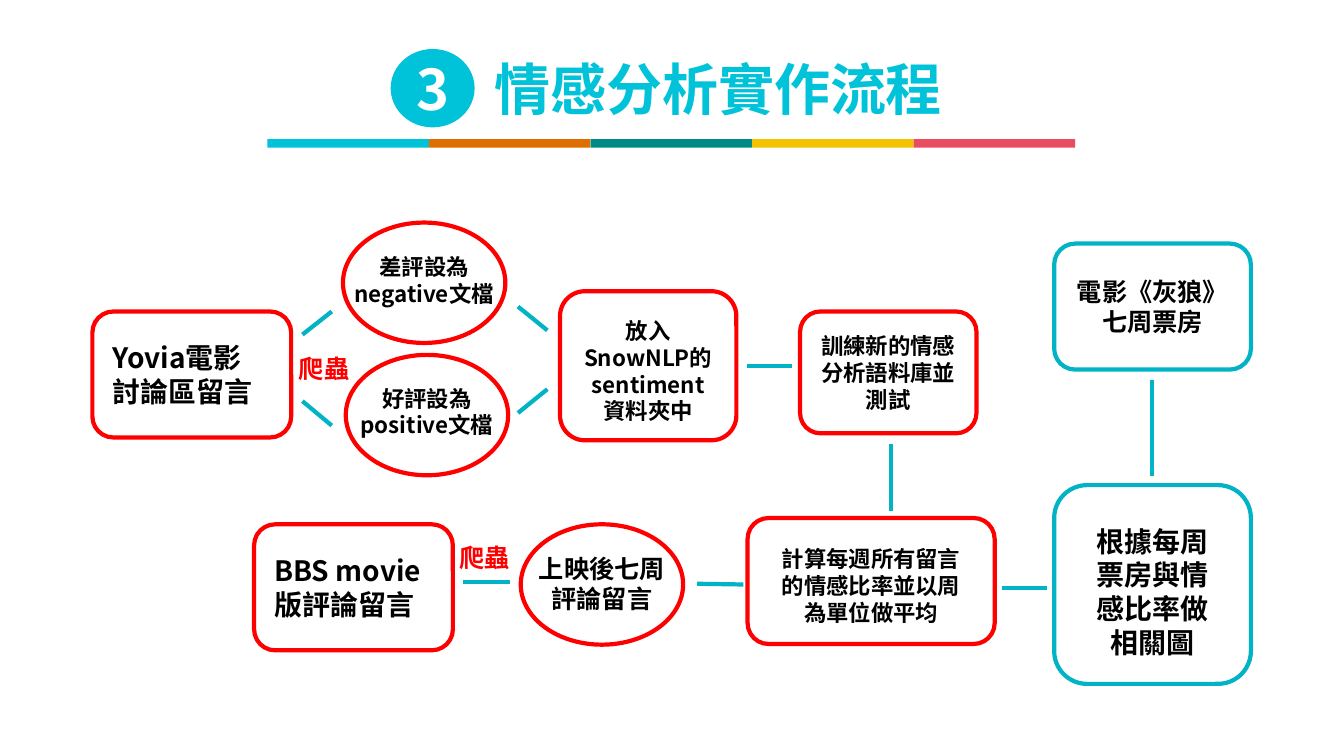
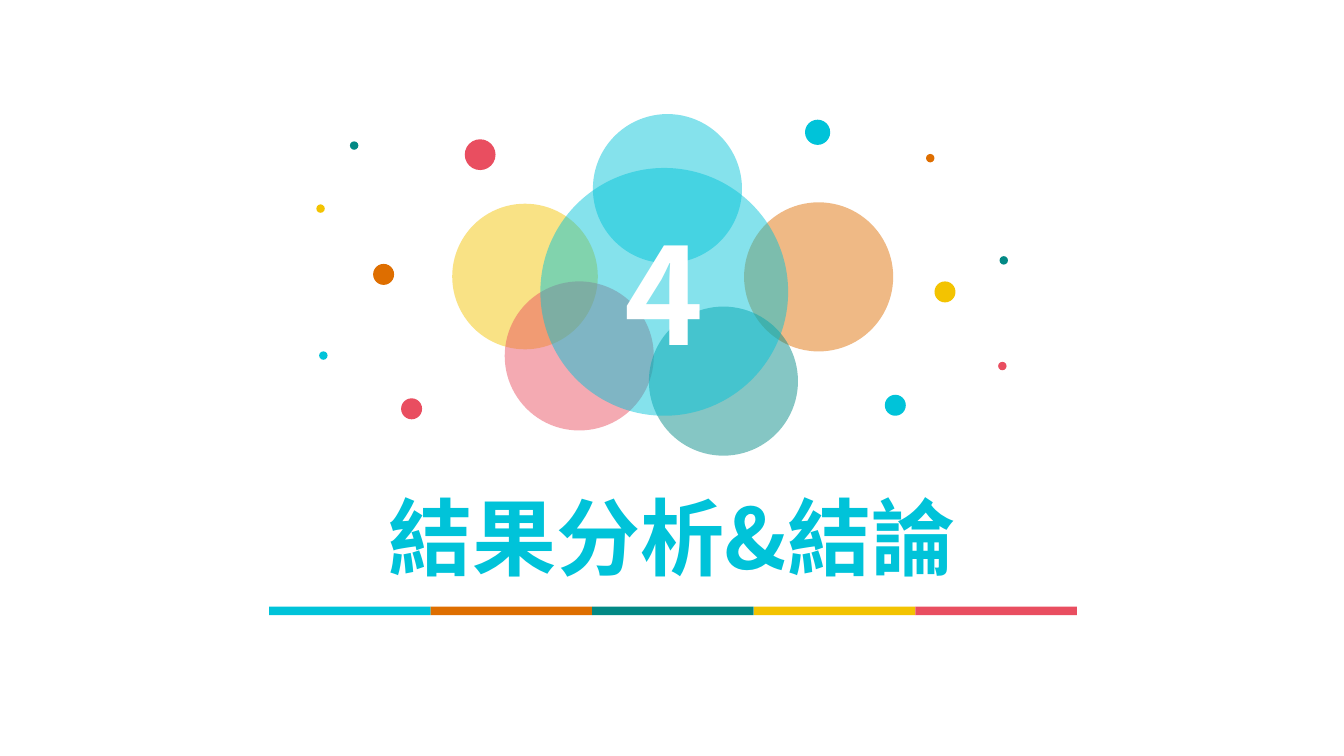
from pptx import Presentation
from pptx.dml.color import RGBColor
from pptx.enum.shapes import MSO_CONNECTOR, MSO_SHAPE
from pptx.enum.text import MSO_ANCHOR, MSO_AUTO_SIZE, PP_ALIGN
from pptx.oxml.ns import qn
from pptx.util import Pt
from lxml.etree import SubElement

FONT = "Noto Sans CJK SC"
COLOURS = {
    "cyan": "00C3D9", "orange": "DE6E00", "teal": "028985", "yellow": "F3C301",
    "rose": "E94E60", "red": "FF0000", "aqua": "01B3C5", "black": "000000",
    "white": "FFFFFF",
}
BAND_COLOURS = ("cyan", "orange", "teal", "yellow", "rose")
BAND_STEP, BAND_HEIGHT = 115.4, 6
LINE_WIDTH = 3
OVAL, ROUNDED = MSO_SHAPE.OVAL, MSO_SHAPE.ROUNDED_RECTANGLE
LEFT, CENTER = PP_ALIGN.LEFT, PP_ALIGN.CENTER

# preset, left, top, width, height, outline, text, size, alignment, text shift
STEPS = (
    (ROUNDED, 753, 346.5, 140.5, 142, "aqua", "根據每周\v票房與情\v感比率做\v相關圖", 20, CENTER, 5),
    (ROUNDED, 181.5, 374.5, 142, 90, "red", "BBS movie\v版評論留言", 20, LEFT, 0),
    (OVAL, 245, 159, 116, 86, "red", "差評設為\vnegative文檔", 16, CENTER, -2),
    (OVAL, 372, 374.5, 116, 86, "red", "上映後七周\v評論留言", 18, CENTER, -1),
    (ROUNDED, 66, 222.5, 142, 90, "red", "Yovia電影\v討論區留言", 20, LEFT, 0),
    (ROUNDED, 534, 370, 176.5, 90, "red", "計算每週所有留言\v的情感比率並以周\v為單位做平均", 16, CENTER, 3),
    (ROUNDED, 753, 174, 140.5, 90, "aqua", "電影《灰狼》\v七周票房", 18, CENTER, 0),
    (ROUNDED, 400, 208, 126, 106.5, "red", "放入\vSnowNLP的\vsentiment\n資料夾中", 16, CENTER, 3.5),
    (OVAL, 247, 253.5, 116, 86, "red", "好評設為\vpositive文檔", 16, CENTER, -2.5),
    (ROUNDED, 571.5, 222.5, 126, 87, "red", "訓練新的情感\v分析語料庫並\v測試", 16, CENTER, 0),
)
LINKS = (
    (216, 239, 237, 222.5), (216, 286.5, 237, 304), (331, 416, 364, 416),
    (498, 417, 531, 417.5), (823, 271.5, 823, 340), (533.5, 261.5, 566, 261.5),
    (370, 219, 391, 236), (370, 295, 391, 278), (636.5, 317, 636.5, 365),
    (715.5, 420, 748, 420),
)
CRAWLS = ((206.5, 248.5, 69, 29), (321, 384, 54, 29))
DOTS = (
    (226, 146, 6, "yellow"), (266.5, 188.5, 15, "orange"), (250, 101, 6, "teal"),
    (286.5, 284.5, 15, "rose"), (228, 251, 6, "cyan"), (667.5, 201, 15, "yellow"),
    (661.5, 110, 6, "orange"), (714, 183, 6, "teal"), (632, 282, 15, "cyan"),
    (713, 258.5, 6, "rose"), (575, 85.5, 18, "cyan"), (332, 99.5, 22, "rose"),
)
BUBBLES = (
    (323, 145.5, 104, "yellow"), (360.5, 201, 106.5, "rose"),
    (423.5, 81.5, 106.5, "cyan"), (531.5, 144.5, 106.5, "orange"),
    (463.5, 219, 106.5, "teal"),
)
BUBBLE_ALPHA = 48


def colour(name):
    """Return the named colour."""
    return RGBColor.from_string(COLOURS[name])


def write(frame, text, size, ink, align=CENTER, anchor=MSO_ANCHOR.MIDDLE, wrap=True):
    """Fill a text frame with bold text in the deck font."""
    frame.text = text
    frame.word_wrap = wrap
    frame.auto_size = MSO_AUTO_SIZE.NONE
    frame.vertical_anchor = anchor
    for para in frame.paragraphs:
        para.alignment = align
        para.font.size = Pt(size)
        para.font.bold = True
        para.font.color.rgb = colour(ink)
        para.font.name = FONT
        defaults = para._p.pPr.find(qn("a:defRPr"))
        SubElement(defaults, qn("a:ea")).set("typeface", FONT)


def set_margins(frame, left=0, top=0, right=0, bottom=0):
    """Set the four insets of a text frame."""
    frame.margin_left, frame.margin_top = Pt(left), Pt(top)
    frame.margin_right, frame.margin_bottom = Pt(right), Pt(bottom)


def add_block(shapes, preset, box, fill=None, line=None, alpha=None):
    """Add a flat preset shape with an optional fill, outline and opacity."""
    shape = shapes.add_shape(preset, *map(Pt, box))
    shape.shadow.inherit = False
    if fill:
        shape.fill.solid()
        shape.fill.fore_color.rgb = colour(fill)
    else:
        shape.fill.background()
    if line:
        shape.line.color.rgb = colour(line)
        shape.line.width = Pt(LINE_WIDTH)
    else:
        shape.line.fill.background()
    if alpha:
        tint = shape._element.spPr.find(qn("a:solidFill")).find(qn("a:srgbClr"))
        SubElement(tint, qn("a:alpha")).set("val", str(alpha * 1000))
    return shape


def add_step(page, preset, left, top, width, height, line, text, size, align, shift):
    """Add an outlined step of the flow with its text."""
    shape = add_block(page.shapes, preset, (left, top, width, height), line=line)
    write(shape.text_frame, text, size, "black", align, wrap=preset != OVAL)
    indent = 10 if align == LEFT else 0
    set_margins(shape.text_frame, indent, max(2 * shift, 0), 0, max(-2 * shift, 0))


def add_link(page, ends):
    """Add a straight line between two steps."""
    link = page.shapes.add_connector(MSO_CONNECTOR.STRAIGHT, *map(Pt, ends))
    link.line.color.rgb = colour("aqua")
    link.line.width = Pt(LINE_WIDTH)
    SubElement(link._element.spPr, qn("a:effectLst"))


def add_label(page, box, text):
    """Add a red label beside a line."""
    label = page.shapes.add_textbox(*map(Pt, box))
    write(label.text_frame, text, 18, "red", LEFT, MSO_ANCHOR.TOP)


def add_circle(page, left, top, size, fill, alpha=None):
    """Add a filled circle."""
    return add_block(page.shapes, OVAL, (left, top, size, size), fill, alpha=alpha)


def add_number(shape, text, size):
    """Write a white number in the middle of a shape."""
    write(shape.text_frame, text, size, "white", wrap=False)
    set_margins(shape.text_frame)


def add_band(page, left, top):
    """Add the grouped five-colour band."""
    band = page.shapes.add_group_shape()
    for index, fill in enumerate(BAND_COLOURS):
        box = (left + index * BAND_STEP, top, BAND_STEP, BAND_HEIGHT)
        add_block(band.shapes, MSO_SHAPE.RECTANGLE, box, fill)


def add_page(deck, text, size, box, anchor, band):
    """Add a page with its title and colour band."""
    page = deck.slides.add_slide(deck.slide_layouts[5])
    title = page.shapes.title
    title.left, title.top, title.width, title.height = map(Pt, box)
    write(title.text_frame, text, size, "cyan", anchor=anchor)
    set_margins(title.text_frame, 6, 3, 6, 3)
    add_band(page, *band)
    return page


def add_flow_page(deck):
    """Add the flow of the sentiment analysis."""
    page = add_page(deck, "情感分析實作流程", 40, (346, 36, 334, 53), MSO_ANCHOR.TOP, (191, 99.4))
    badge = add_block(page.shapes, OVAL, (279, 35, 60, 56), "cyan")
    add_number(badge, "3", 40)
    for step in STEPS:
        add_step(page, *step)
    for ends in LINKS:
        add_link(page, ends)
    for box in CRAWLS:
        add_label(page, box, "爬蟲")


def add_section_page(deck):
    """Add the section opener with its bubbles."""
    page = add_page(deck, "結果分析&結論", 60, (126, 356, 708, 53), MSO_ANCHOR.MIDDLE, (192.2, 433.4))
    for dot in DOTS:
        add_circle(page, *dot)
    for bubble in BUBBLES:
        add_circle(page, *bubble, BUBBLE_ALPHA)
    centre = add_circle(page, 386, 120, 177, "cyan", BUBBLE_ALPHA)
    add_number(centre, "4", 96)


def main():
    """Build and save the deck."""
    deck = Presentation()
    deck.slide_width, deck.slide_height = Pt(960), Pt(540)
    add_flow_page(deck)
    add_section_page(deck)
    deck.save("out.pptx")


if __name__ == "__main__":
    main()
